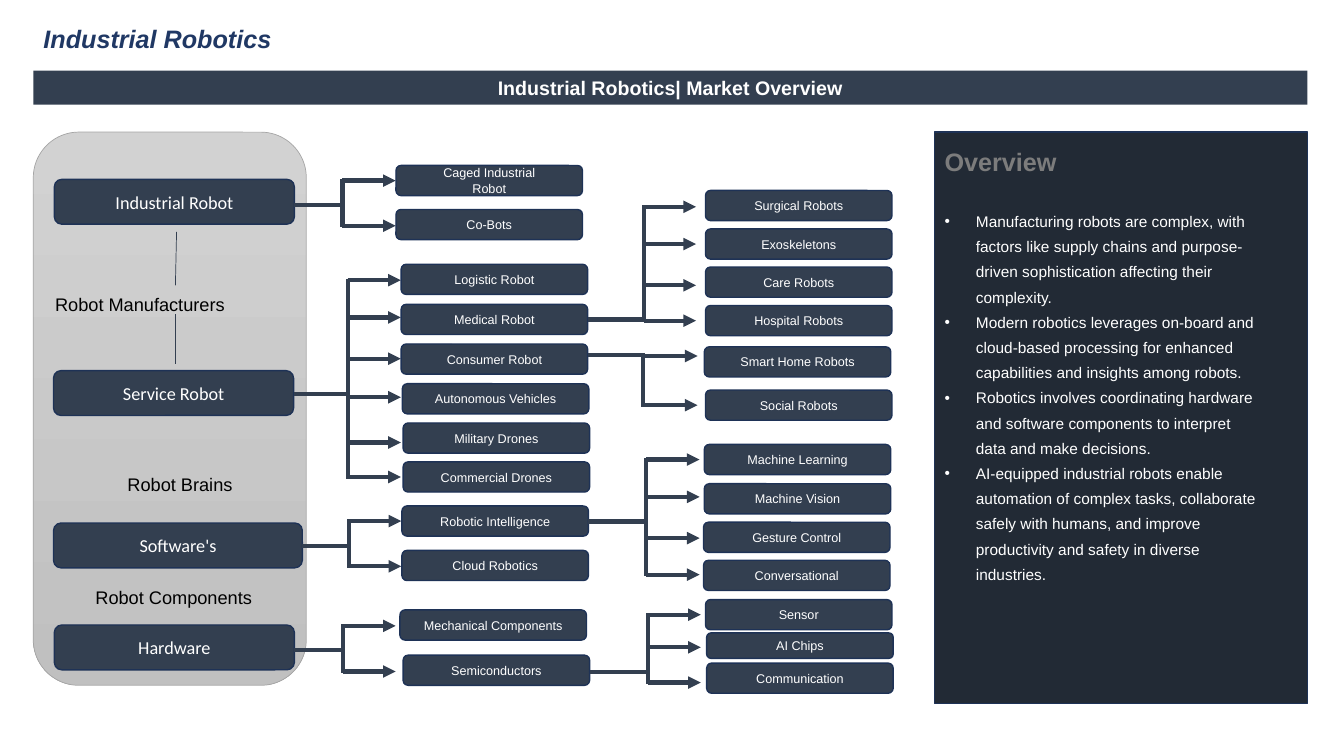
"""Build the Industrial Robotics market overview slide."""
from pptx import Presentation
from pptx.dml.color import RGBColor
from pptx.enum import shapes, text
from pptx.oxml import ns
from pptx.util import Cm, Pt
from lxml import etree

NAVY, EDGE, PANEL, WHITE = "333F50", "1E3256", "222A35", "FFFFFF"
TITLE = "Industrial Robotics"
BANNER = "Industrial Robotics| Market Overview"
HEADING = "Overview"
POINTS = [
    "Manufacturing robots are complex, with factors like supply chains and purpose-driven "
    "sophistication affecting their complexity.",
    "Modern robotics leverages on-board and cloud-based processing for enhanced capabilities "
    "and insights among robots.",
    "Robotics involves coordinating hardware and software components to interpret data and "
    "make decisions.",
    "AI-equipped industrial robots enable automation of complex tasks, collaborate safely with "
    "humans, and improve productivity and safety in diverse industries.",
]
# name: left, top, width
CATEGORIES = {
    "Industrial Robot": (1.37, 4.52, 6.05),
    "Service Robot": (1.35, 9.34, 6.05),
    "Software's": (1.35, 13.18, 6.27),
    "Hardware": (1.37, 15.75, 6.05),
}
# text, left, top, width, alignment
LABELS = [
    ("Robot Manufacturers", 1.14, 7.26, 6.6, text.PP_ALIGN.LEFT),
    ("Robot Brains", 1.65, 11.79, 5.77, text.PP_ALIGN.CENTER),
    ("Robot Components", 1.35, 14.66, 6.05, text.PP_ALIGN.CENTER),
]
# parent, stem y, trunk x, arrow tip x, children as (name, left, top, arrow y)
BRANCHES = [
    ("Industrial Robot", 5.16, 8.63, 9.97, [
        ("Caged Industrial\nRobot", 9.98, 4.17, 4.55),
        ("Co-Bots", 9.98, 5.28, 5.69)]),
    ("Service Robot", 9.92, 8.76, 10.1, [
        ("Logistic Robot", 10.11, 6.66, 7.06),
        ("Medical Robot", 10.11, 7.67, 8),
        ("Consumer Robot", 10.11, 8.67, 9.04),
        ("Autonomous Vehicles", 10.14, 9.67, 10.01),
        ("Military Drones", 10.16, 10.66, 11.15),
        ("Commercial Drones", 10.16, 11.64, 12.02)]),
    ("Software's", 13.75, 8.79, 10.11, [
        ("Robotic Intelligence", 10.13, 12.75, 13.13),
        ("Cloud Robotics", 10.13, 13.87, 14.27)]),
    ("Hardware", 16.37, 8.65, 9.97, [
        ("Mechanical Components", 10.08, 15.37, 15.77),
        ("Semiconductors", 10.16, 16.51, 16.92)]),
    ("Medical Robot", 8.05, 16.23, 17.54, [
        ("Surgical Robots", 17.78, 4.8, 5.21),
        ("Exoskeletons", 17.78, 5.77, 6.15),
        ("Care Robots", 17.78, 6.73, 7.19),
        ("Hospital Robots", 17.78, 7.7, 8.08)]),
    ("Consumer Robot", 8.94, 16.21, 17.58, [
        ("Smart Home Robots", 17.75, 8.74, 8.97),
        ("Social Robots", 17.78, 9.83, 10.21)]),
    ("Robotic Intelligence", 13.14, 16.28, 17.63, [
        ("Machine Learning", 17.75, 11.2, 11.58),
        ("Machine Vision", 17.75, 12.19, 12.52),
        ("Gesture Control", 17.73, 13.16, 13.56),
        ("Conversational", 17.73, 14.12, 14.48)]),
    ("Semiconductors", 16.93, 16.33, 17.66, [
        ("Sensor", 17.78, 15.11, 15.49),
        ("AI Chips", 17.81, 15.95, 16.31),
        ("Communication", 17.81, 16.71, 17.2)]),
]
THIN_LINES = [(4.42, 7.19, 4.45, 5.84), (4.42, 9.17, 4.42, 7.9)]
CHILD_WIDTH, CHILD_HEIGHT, CATEGORY_HEIGHT = 4.7, 0.76, 1.13
SHORT_HEIGHTS = {"AI Chips": 0.64}
CORNER = 0.04


def color(value):
    return RGBColor.from_string(value)


def write(paragraph, words, size, shade, font="Arial", bold=False, italic=False):
    run = paragraph.add_run()
    run.text = words
    run.font.size, run.font.name = Pt(size), font
    run.font.bold, run.font.italic = bold, italic
    run.font.color.rgb = color(shade)


def place(shape, left, top, width, height):
    shape.left, shape.top, shape.width, shape.height = map(Cm, (left, top, width, height))


def paint(shape, fill, edge=None, width=1):
    shape.fill.solid()
    shape.fill.fore_color.rgb = color(fill)
    if edge:
        shape.line.color.rgb = color(edge)
        shape.line.width = Pt(width)
    else:
        shape.line.fill.background()


def add_box(slide, kind, bounds, words, size, font="Arial", edge=EDGE, bold=False):
    shape = slide.shapes.add_shape(kind, *map(Cm, bounds))
    shape.shadow.inherit = False
    paint(shape, NAVY, edge)
    frame = shape.text_frame
    frame.margin_top = frame.margin_bottom = 0
    frame.vertical_anchor = text.MSO_ANCHOR.MIDDLE
    for index, line in enumerate(words.split("\n")):
        paragraph = frame.add_paragraph() if index else frame.paragraphs[0]
        paragraph.alignment = text.PP_ALIGN.CENTER
        write(paragraph, line, size, WHITE, font, bold)


def add_line(slide, ends, width=3, arrow=False):
    line = slide.shapes.add_connector(shapes.MSO_CONNECTOR.STRAIGHT, *map(Cm, ends))
    line.line.color.rgb = color(NAVY)
    line.line.width = Pt(width)
    if arrow:
        etree.SubElement(line.line._get_or_add_ln(), ns.qn("a:tailEnd"), type="triangle")
    etree.SubElement(line._element.spPr, ns.qn("a:effectLst"))


def add_branch(slide, parent_right, stem_y, trunk, tip, children):
    levels = [stem_y] + [child[3] for child in children]
    add_line(slide, (parent_right, stem_y, trunk, stem_y))
    add_line(slide, (trunk, min(levels) - CORNER, trunk, max(levels) + CORNER))
    for name, left, top, arrow_y in children:
        add_line(slide, (trunk, arrow_y, tip, arrow_y), arrow=True)
        height = SHORT_HEIGHTS.get(name, CHILD_HEIGHT)
        add_box(slide, shapes.MSO_SHAPE.ROUNDED_RECTANGLE,
                (left, top, CHILD_WIDTH, height), name, 9)


def fill_overview(body):
    place(body, 23.55, 3.33, 9.4, 14.4)
    paint(body, PANEL, EDGE)
    frame = body.text_frame
    frame.auto_size = text.MSO_AUTO_SIZE.NONE
    frame.vertical_anchor = text.MSO_ANCHOR.TOP
    frame.margin_top, frame.margin_right = Cm(0.36), Cm(1.12)
    heading = frame.paragraphs[0]
    properties = heading._p.get_or_add_pPr()
    properties.set("marL", "0")
    properties.set("indent", "0")
    etree.SubElement(properties, ns.qn("a:buNone"))
    heading.space_before = Pt(0)
    write(heading, HEADING, 18, "7C7C7C", bold=True)
    for index, point in enumerate(POINTS):
        paragraph = frame.add_paragraph()
        properties = paragraph._p.get_or_add_pPr()
        properties.set("marL", str(Cm(0.79)))
        properties.set("indent", str(-Cm(0.79)))
        etree.SubElement(properties, ns.qn("a:buChar"), char="•")
        paragraph.line_spacing = Pt(18)
        paragraph.space_before = Pt(0 if index else 20.5)
        write(paragraph, point, 11, WHITE)


def main():
    presentation = Presentation()
    presentation.slide_width, presentation.slide_height = Cm(33.87), Cm(19.05)
    slide = presentation.slides.add_slide(presentation.slide_layouts[1])
    title, body = slide.placeholders
    place(title, 0.84, 0.46, 7.67, 1.2)
    title.text_frame.auto_size = text.MSO_AUTO_SIZE.NONE
    title.text_frame.vertical_anchor = text.MSO_ANCHOR.TOP
    title.text_frame.paragraphs[0].alignment = text.PP_ALIGN.LEFT
    write(title.text_frame.paragraphs[0], TITLE, 18, "203864", bold=True, italic=True)
    fill_overview(body)
    add_box(slide, shapes.MSO_SHAPE.RECTANGLE, (0.84, 1.78, 32.11, 0.86), BANNER, 14,
            edge=None, bold=True)

    column = slide.shapes.add_shape(shapes.MSO_SHAPE.ROUNDED_RECTANGLE,
                                    *map(Cm, (0.84, 3.33, 6.88, 13.94)))
    column.shadow.inherit = False
    column.fill.gradient()
    column.fill.gradient_angle = 270
    for stop, shade in zip(column.fill.gradient_stops, ("D2D2D2", "C0C0C0")):
        stop.color.rgb = color(shade)
    column.line.color.rgb = color("A5A5A5")
    column.line.width = Pt(0.5)

    right_edges = {}
    for name, (left, top, width) in CATEGORIES.items():
        add_box(slide, shapes.MSO_SHAPE.ROUNDED_RECTANGLE,
                (left, top, width, CATEGORY_HEIGHT), name, 13, "Calibri")
        right_edges[name] = left + width
    for parent, stem_y, trunk, tip, children in BRANCHES:
        add_branch(slide, right_edges[parent], stem_y, trunk, tip, children)
        right_edges.update({child[0]: child[1] + CHILD_WIDTH for child in children})
    for words, left, top, width, alignment in LABELS:
        label = slide.shapes.add_textbox(*map(Cm, (left, top, width, 0.81)))
        label.text_frame.word_wrap = True
        label.text_frame.paragraphs[0].alignment = alignment
        write(label.text_frame.paragraphs[0], words, 13, "000000")
    for ends in THIN_LINES:
        add_line(slide, ends, 0.5)
    presentation.save("out.pptx")


if __name__ == "__main__":
    main()
